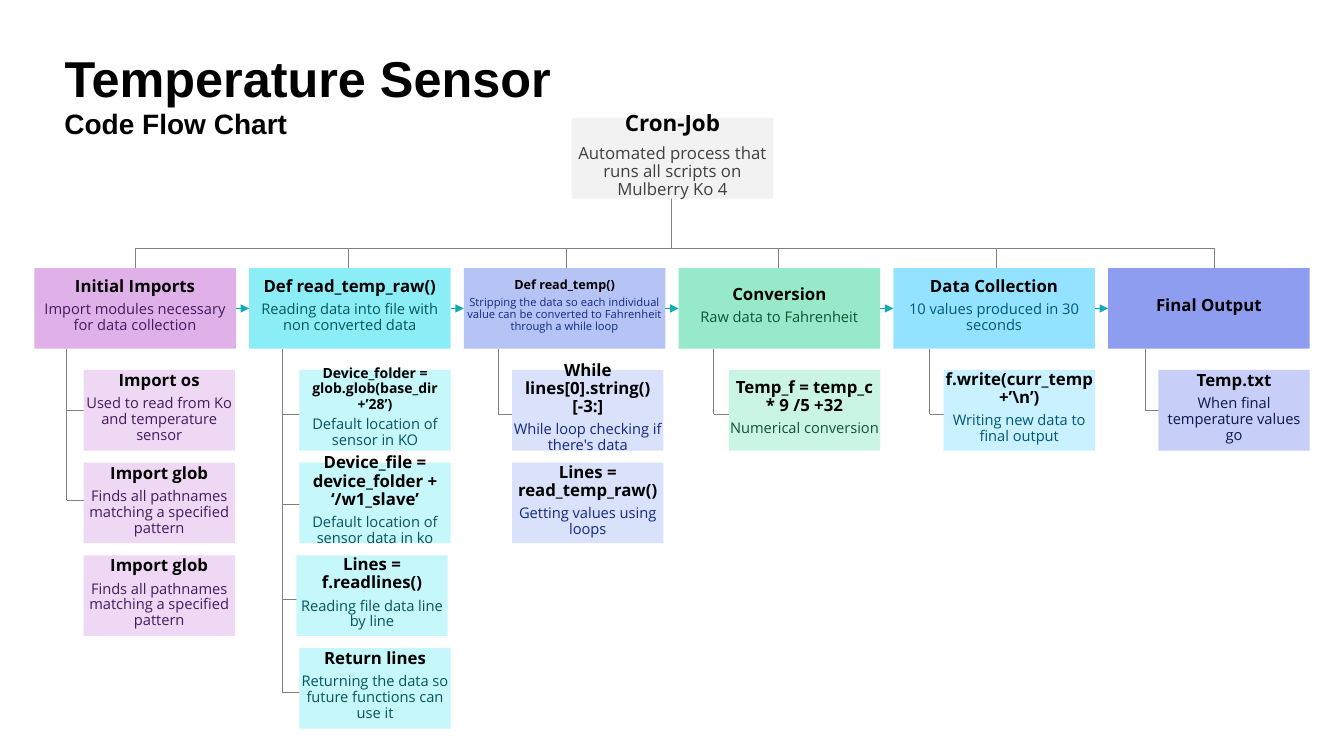
from dataclasses import dataclass

from pptx import Presentation
from pptx.dml.color import RGBColor
from pptx.enum.shapes import MSO_CONNECTOR, MSO_SHAPE
from pptx.enum.text import MSO_ANCHOR, PP_ALIGN
from pptx.oxml.ns import qn
from pptx.util import Inches, Pt
from lxml.etree import SubElement

BLACK = RGBColor(0x00, 0x00, 0x00)
DARK_GREY = RGBColor(0x40, 0x40, 0x40)
PALE_GREY = RGBColor(0xF2, 0xF2, 0xF2)
LINE_GREY = RGBColor(0x80, 0x80, 0x80)
TEAL = RGBColor(0x0E, 0xAB, 0xB7)
ORCHID, PALE_ORCHID, PLUM = RGBColor(0xE0, 0xB1, 0xE9), RGBColor(0xEF, 0xD8, 0xF4), RGBColor(0x42, 0x1C, 0x5E)
AQUA, PALE_AQUA, DEEP_TEAL = RGBColor(0x8B, 0xEE, 0xF6), RGBColor(0xC5, 0xF7, 0xFB), RGBColor(0x07, 0x55, 0x5C)
PERIWINKLE, PALE_PERIWINKLE, NAVY = RGBColor(0xB6, 0xC3, 0xF5), RGBColor(0xDA, 0xE1, 0xFA), RGBColor(0x13, 0x2A, 0x84)
MINT, PALE_MINT, FOREST = RGBColor(0x96, 0xEA, 0xCA), RGBColor(0xCA, 0xF5, 0xE5), RGBColor(0x10, 0x52, 0x39)
SKY, PALE_SKY, OCEAN = RGBColor(0x93, 0xE2, 0xFF), RGBColor(0xC9, 0xF1, 0xFF), RGBColor(0x00, 0x58, 0x78)
INDIGO, PALE_INDIGO, MIDNIGHT = RGBColor(0x8E, 0x9D, 0xEF), RGBColor(0xC7, 0xCE, 0xF7), RGBColor(0x0C, 0x17, 0x53)

# Layout grid, in inches
STAGE_X, STAGE_Y, STAGE_STEP, STAGE_W = 0.34, 2.66, 2.13, 2.0
DETAIL_Y, DETAIL_STEP, DETAIL_W = 3.67, 0.92, 1.5
BOX_H = 0.8
BUS_Y = 2.46
TRUNK_X, TRUNK_STEP, STUB_W = 0.66, 2.14, 0.3


@dataclass
class Box:
    heading: str
    text: str = ""
    heading_size: float = 12
    text_size: float = 10.5
    shift: float = 0


@dataclass
class Stage:
    box: Box
    fill: RGBColor
    pale: RGBColor
    ink: RGBColor
    drop_x: float
    stubs: list[float]
    details: list[Box]
    indent: float = 0.5


GLOB = Box("Import glob", "Finds all pathnames matching a specified pattern")
STAGES = [
    Stage(Box("Initial Imports", "Import modules necessary for data collection"),
          ORCHID, PALE_ORCHID, PLUM, 1.34, [4.07, 4.96],
          [Box("Import os", "Used to read from Ko and temperature sensor"), GLOB, GLOB], 0.49),
    Stage(Box("Def read_temp_raw()", "Reading data into file with non converted data"),
          AQUA, PALE_AQUA, DEEP_TEAL, 3.46, [4.11, 5, 5.95, 6.87],
          [Box("Device_folder = glob.glob(base_dir +’28’)", "Default location of sensor in KO", 10),
           Box("Device_file = device_folder + ‘/w1_slave’", "Default location of sensor data in ko"),
           Box("Lines = f.readlines()", "Reading file data line by line", shift=-0.03),
           Box("Return lines", "Returning the data so future functions can use it")]),
    Stage(Box("Def read_temp()", "Stripping the data so each individual value can be "
              "converted to Fahrenheit through a while loop", 9, 8),
          PERIWINKLE, PALE_PERIWINKLE, NAVY, 5.62, [4.11],
          [Box("While lines[0].string()[-3:]", "While loop checking if there's data"),
           Box("Lines = read_temp_raw()", "Getting values using loops")], 0.48),
    Stage(Box("Conversion", "Raw data to Fahrenheit"),
          MINT, PALE_MINT, FOREST, 7.72, [4.11],
          [Box("Temp_f = temp_c * 9 /5 +32", "Numerical conversion")]),
    Stage(Box("Data Collection", "10 values produced in 30 seconds"),
          SKY, PALE_SKY, OCEAN, 9.88, [4.11],
          [Box("f.write(curr_temp +’\\n’)", "Writing new data to final output")]),
    Stage(Box("Final Output"), INDIGO, PALE_INDIGO, MIDNIGHT, 12.04, [4.07],
          [Box("Temp.txt", "When final temperature values go")]),
]


def write(p, text: str, **font) -> None:
    r = p.add_run()
    r.text = text
    r.font.color.rgb = font.pop("color")
    for name, value in font.items():
        setattr(r.font, name, value)


def add_line(x1: float, y1: float, x2: float, y2: float,
             color: RGBColor = LINE_GREY, arrow: bool = False) -> None:
    line = s.shapes.add_connector(MSO_CONNECTOR.STRAIGHT, *map(Inches, (x1, y1, x2, y2)))
    line.line.color.rgb = color
    line.line.width = Pt(0.5)
    spPr = line._element.spPr
    if arrow:
        SubElement(spPr.find(qn("a:ln")), qn("a:tailEnd")).set("type", "triangle")
    SubElement(spPr, qn("a:effectLst"))


def add_box(box: Box, x: float, y: float, w: float, fill: RGBColor, ink: RGBColor) -> None:
    sp = s.shapes.add_shape(MSO_SHAPE.RECTANGLE, *map(Inches, (x, y, w, BOX_H)))
    sp.shadow.inherit = False
    sp.fill.solid()
    sp.fill.fore_color.rgb = fill
    sp.line.fill.background()
    tf = sp.text_frame
    frame = {"word_wrap": True, "vertical_anchor": MSO_ANCHOR.MIDDLE,
             "margin_left": Inches(0.01), "margin_right": Inches(0.01),
             "margin_top": Inches(0.01), "margin_bottom": Inches(0.06)}
    for name, value in frame.items():
        setattr(tf, name, value)
    parts = [(box.heading, box.heading_size, BLACK, True),
             (box.text, box.text_size, ink, False)]
    for i, (text, size, color, bold) in enumerate(part for part in parts if part[0]):
        p = tf.add_paragraph() if i else tf.paragraphs[0]
        p.alignment = PP_ALIGN.CENTER
        p.line_spacing = 0.9
        after = SubElement(p._p.get_or_add_pPr(), qn("a:spcAft"))
        SubElement(after, qn("a:spcPct")).set("val", "35000")
        write(p, text, name="Open Sans", size=Pt(size), bold=bold, color=color)


prs = Presentation()
prs.slide_width, prs.slide_height = Inches(13.33), Inches(7.5)
s = prs.slides.add_slide(prs.slide_layouts[5])

# Title and subtitle
title = s.shapes.title
for name, value in {"left": 0.54, "top": 0.34, "width": 5.73, "height": 0.93}.items():
    setattr(title, name, Inches(value))
subtitle = s.shapes.add_textbox(*map(Inches, (0.54, 1.07, 3.92, 0.4)))
for sp, text, size, spacing, anchor in [
    (title, "Temperature Sensor", 36, 0.9, MSO_ANCHOR.MIDDLE),
    (subtitle, "Code Flow Chart", 20, 0.8, MSO_ANCHOR.TOP),
]:
    tf = sp.text_frame
    tf.word_wrap = True
    tf.vertical_anchor = anchor
    p = tf.paragraphs[0]
    p.alignment = PP_ALIGN.LEFT
    p.line_spacing = spacing
    write(p, text, name="Arial", size=Pt(size), bold=True, color=BLACK)

# Bus from the cron job to every stage
add_line(6.66, 1.96, 6.66, BUS_Y)
add_line(STAGES[0].drop_x, BUS_Y, STAGES[-1].drop_x, BUS_Y)
for stage in STAGES:
    add_line(stage.drop_x, BUS_Y, stage.drop_x, STAGE_Y)

# Trunks and stubs from each stage to its details
for i, stage in enumerate(STAGES):
    trunk = TRUNK_X + i * TRUNK_STEP
    add_line(trunk, STAGE_Y + BOX_H, trunk, stage.stubs[-1])
    for y in stage.stubs:
        add_line(trunk, y, trunk + STUB_W, y)

# Boxes
add_box(Box("Cron-Job", "Automated process that runs all scripts on Mulberry Ko 4", 16, 12),
        5.67, 1.17, STAGE_W, PALE_GREY, DARK_GREY)
for i, stage in enumerate(STAGES):
    x = STAGE_X + i * STAGE_STEP
    add_box(stage.box, x, STAGE_Y, STAGE_W, stage.fill, stage.ink)
    for j, detail in enumerate(stage.details):
        add_box(detail, x + stage.indent + detail.shift, DETAIL_Y + j * DETAIL_STEP,
                DETAIL_W, stage.pale, stage.ink)

# Arrows between neighbouring stages
for i in range(len(STAGES) - 1):
    x = STAGE_X + i * STAGE_STEP
    y = STAGE_Y + BOX_H / 2
    add_line(x + STAGE_W, y, x + STAGE_STEP, y, TEAL, arrow=True)

prs.save("out.pptx")
